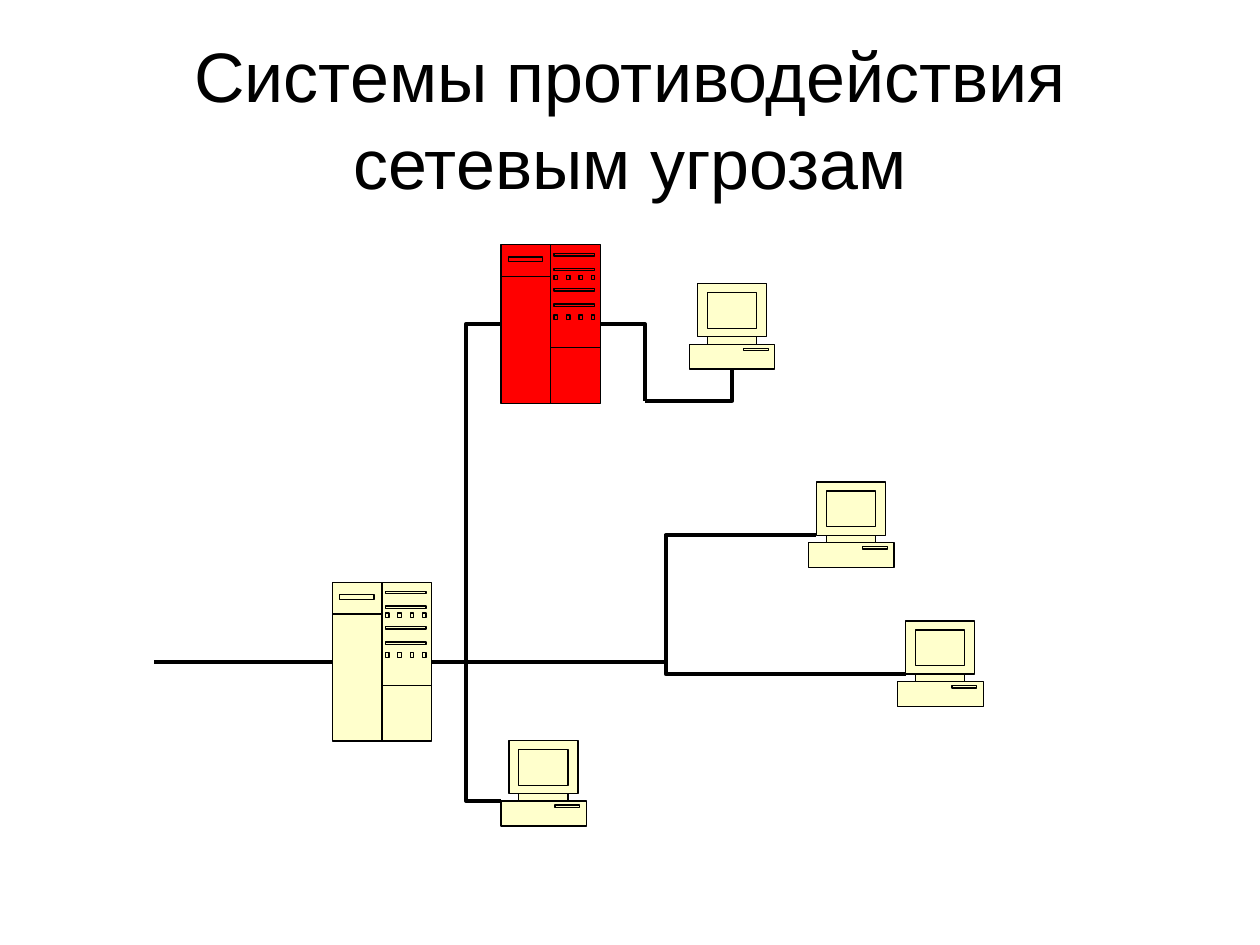
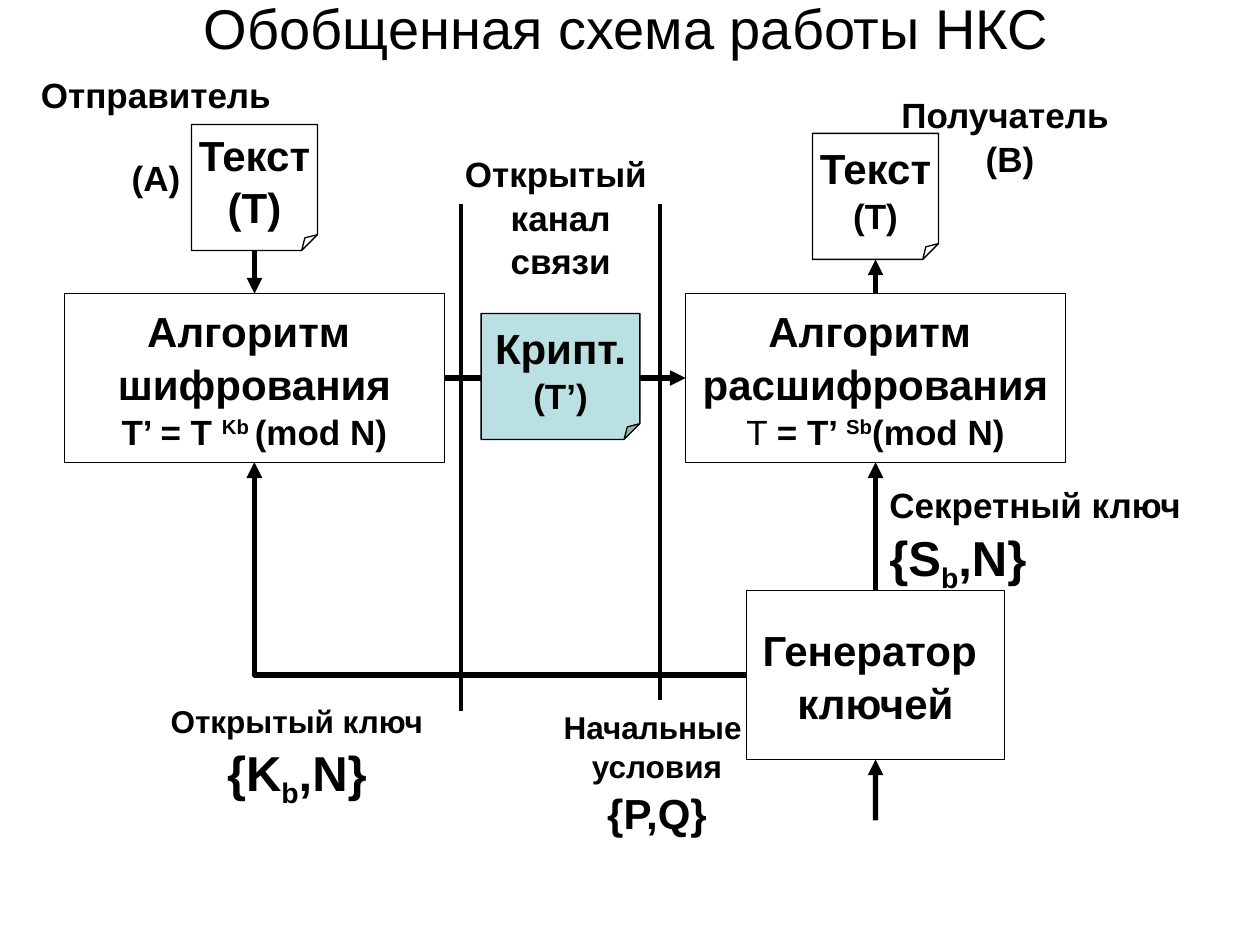
from dataclasses import dataclass

from lxml import etree
from pptx import Presentation
from pptx.dml.color import RGBColor
from pptx.enum.shapes import MSO_CONNECTOR, MSO_SHAPE
from pptx.enum.text import MSO_ANCHOR, MSO_AUTO_SIZE, PP_ALIGN
from pptx.oxml.ns import qn
from pptx.util import Cm, Pt

STRAIGHT, ELBOW = MSO_CONNECTOR.STRAIGHT, MSO_CONNECTOR.ELBOW
RECT, NOTE = MSO_SHAPE.RECTANGLE, MSO_SHAPE.FOLDED_CORNER
LEFT, CENTER = PP_ALIGN.LEFT, PP_ALIGN.CENTER
MIDDLE, TOP_ANCHOR = MSO_ANCHOR.MIDDLE, MSO_ANCHOR.TOP
NO_FIT, GROW = MSO_AUTO_SIZE.NONE, MSO_AUTO_SIZE.SHAPE_TO_FIT_TEXT
TOP_SIDE, LEFT_SIDE, BOTTOM_SIDE, RIGHT_SIDE = range(4)
TITLE_ONLY = 5
SUB, SUP = -25000, 30000


@dataclass(frozen=True)
class Theme:
    font: str = "Arial"
    ink: RGBColor = RGBColor(0, 0, 0)
    device: RGBColor = RGBColor(0xFF, 0xFF, 0xCC)
    defence: RGBColor = RGBColor(0xFF, 0, 0)
    cipher: RGBColor = RGBColor(0xBB, 0xE0, 0xE3)
    title: int = 40
    title_small: int = 32
    key: int = 28
    block: int = 24
    label: int = 20
    caption: int = 18
    outline: float = 0.75
    wire: float = 2.25
    arrow: float = 3
    spacing: float = 1.04


THEME = Theme()


def style_run(r, size, bold=True, baseline=None):
    r.font.name = THEME.font
    r.font.size = Pt(size)
    r.font.bold = bold
    r.font.color.rgb = THEME.ink
    if baseline:
        r.font._element.set("baseline", str(baseline))


def add_title_slide(prs, text, box, size):
    s = prs.slides.add_slide(prs.slide_layouts[TITLE_ONLY])
    sp = s.shapes.title
    sp.left, sp.top, sp.width, sp.height = map(Cm, box)
    tf = sp.text_frame
    tf.text = text
    tf.auto_size = NO_FIT
    tf.vertical_anchor = MIDDLE
    p = tf.paragraphs[0]
    p.alignment = CENTER
    p.line_spacing = THEME.spacing
    style_run(p.runs[0], size, bold=False)
    return s


def fill_text(tf, paragraphs, align=CENTER):
    for i, (size, *pieces) in enumerate(paragraphs):
        p = tf.add_paragraph() if i else tf.paragraphs[0]
        p.alignment = align
        p.line_spacing = THEME.spacing
        for piece in pieces:
            text, *formats = (piece,) if isinstance(piece, str) else piece
            for j, line in enumerate(text.split("\v")):
                if j:
                    p.add_line_break()
                r = p.add_run()
                r.text = line
                style_run(r, size, *formats)


def outline(sp, fill=None):
    sp.shadow.inherit = False
    sp.line.color.rgb = THEME.ink
    sp.line.width = Pt(THEME.outline)
    if fill is None:
        sp.fill.background()
    else:
        sp.fill.solid()
        sp.fill.fore_color.rgb = fill


def set_guide(sp, name, ratio):
    guides = sp._element.spPr.find(qn("a:prstGeom")).find(qn("a:avLst"))
    etree.SubElement(guides, qn("a:gd"), name=name, fmla=f"val {round(ratio * 100000)}")


def add_block(s, kind, box, paragraphs, fill=None):
    sp = s.shapes.add_shape(kind, *map(Cm, box))
    if kind == NOTE:
        set_guide(sp, "adj", 0.125)
    outline(sp, fill)
    tf = sp.text_frame
    tf.word_wrap = False
    tf.vertical_anchor = MIDDLE
    fill_text(tf, paragraphs)
    return sp


def add_label(s, box, paragraphs, align=CENTER):
    tf = s.shapes.add_textbox(*map(Cm, box)).text_frame
    tf.word_wrap = False
    tf.auto_size = GROW
    tf.vertical_anchor = TOP_ANCHOR
    fill_text(tf, paragraphs, align)


def add_line(s, kind, start, end, width, arrow=False):
    c = s.shapes.add_connector(kind, *map(Cm, (*start, *end)))
    c.line.color.rgb = THEME.ink
    c.line.width = Pt(width)
    sp_pr = c._element.spPr
    if arrow:
        etree.SubElement(sp_pr.find(qn("a:ln")), qn("a:tailEnd"), type="triangle")
    etree.SubElement(sp_pr, qn("a:effectLst"))
    return c


def add_arrow(s, begin, begin_side, end, end_side):
    c = add_line(s, STRAIGHT, (0, 0), (0, 0), THEME.arrow, arrow=True)
    c.begin_connect(begin, begin_side)
    c.end_connect(end, end_side)


def add_corner(s, start, end, width, arrow=False):
    c = add_line(s, ELBOW, start, end, width, arrow)
    c._element.spPr.find(qn("a:prstGeom")).set("prst", "bentConnector2")


def add_step(s, start, end, bend_x):
    c = add_line(s, ELBOW, start, end, THEME.wire)
    set_guide(c, "adj1", (bend_x - start[0]) / (end[0] - start[0]))


def box_path(x, y, w, h):
    return [(x, y), (x + w, y), (x + w, y + h), (x, y + h), (x, y)]


def draw_paths(shapes, origin, paths, fill=None):
    first, *rest = paths
    builder = shapes.build_freeform(*map(Cm, first[0]), scale=1.0)
    builder.add_line_segments([tuple(map(Cm, pt)) for pt in first[1:]], close=False)
    for points in rest:
        builder.move_to(*map(Cm, points[0]))
        builder.add_line_segments([tuple(map(Cm, pt)) for pt in points[1:]], close=False)
    outline(builder.convert_to_shape(*map(Cm, origin)), fill)


def add_device(s, origin, body, details, fill):
    shapes = s.shapes.add_group_shape().shapes
    draw_paths(shapes, origin, [body], fill)
    draw_paths(shapes, origin, details)


def add_computer(s, origin):
    body = [(1.35, 1.22), (1.35, 1.07), (1.55, 1.07), (1.55, 0), (0.16, 0),
            (0.16, 1.07), (0.36, 1.07), (0.36, 1.22), (0, 1.22), (0, 1.72),
            (1.72, 1.72), (1.72, 1.22), (1.35, 1.22)]
    neck = box_path(0.36, 1.07, 0.99, 0.15)
    screen = box_path(0.36, 0.18, 0.99, 0.72)
    drive = box_path(1.09, 1.3, 0.5, 0.05)
    add_device(s, origin, body, [neck, screen, drive], THEME.device)


def add_server(s, origin, fill):
    seams = [[(1, 0), (1, 3.2)], [(0, 0.64), (1, 0.64)], [(1, 2.08), (2, 2.08)]]
    drive = box_path(0.15, 0.25, 0.69, 0.09)
    slots = [box_path(1.07, y, 0.82, 0.05) for y in (0.18, 0.48, 0.89, 1.2)]
    lights = [box_path(1.07 + 0.25 * i, y, 0.07, 0.09)
              for y in (0.62, 1.42) for i in range(4)]
    add_device(s, origin, box_path(0, 0, 2, 3.2), [*seams, drive, *slots, *lights], fill)


def build_network(prs):
    s = add_title_slide(prs, "Системы противодействия сетевым угрозам",
                        (1.27, 0.76, 22.86, 3.18), THEME.title)
    gateway, trap = (6.7, 11.74), (10.1, 4.93)
    trap_pc, upper_pc, right_pc, lower_pc = computers = [
        (13.9, 5.72), (16.3, 9.72), (18.1, 12.52), (10.1, 14.93)]
    for origin in computers:
        add_computer(s, origin)
    add_server(s, gateway, THEME.device)
    add_server(s, trap, THEME.defence)

    middle = gateway[1] + 1.6
    outlet = (gateway[0] + 2, middle)
    add_line(s, STRAIGHT, (gateway[0], middle), (3.1, middle), THEME.wire)
    add_step(s, outlet, (lower_pc[0], lower_pc[1] + 1.22), 9.4)
    add_step(s, outlet, (trap[0], trap[1] + 1.6), 9.4)
    for x, y in (upper_pc, right_pc):
        add_step(s, outlet, (x + 0.16, y + 1.07), 13.42)

    bend = (13, 8.08)
    add_corner(s, (trap[0] + 2, trap[1] + 1.6), bend, THEME.wire)
    add_corner(s, bend, (trap_pc[0] + 0.86, trap_pc[1] + 1.72), THEME.wire)


def build_cryptosystem(prs):
    s = add_title_slide(prs, "Обобщенная схема работы НКС ",
                        (0.69, -1.07, 24.2, 3.18), THEME.title_small)
    block, label, caption, key = THEME.block, THEME.label, THEME.caption, THEME.key
    generator = add_block(s, RECT, (15.05, 11.91, 5.2, 3.4),
                          [(block, "Генератор \vключей")])
    plain = add_block(s, NOTE, (3.86, 2.51, 2.54, 2.54),
                      [(block, "Текст"), (block, "(T)")])
    decoder = add_block(s, RECT, (13.82, 5.92, 7.66, 3.4), [
        (block, "Алгоритм \vрасшифрования"),
        (label, ("T ", False), "= T’ ", ("Sb", True, SUP), "(mod N)")])
    encoder = add_block(s, RECT, (1.3, 5.92, 7.66, 3.4), [
        (block, "Алгоритм \vшифрования"),
        (label, "T’ = T ", ("Kb ", True, SUP), "(mod N)")])
    restored = add_block(s, NOTE, (16.38, 2.69, 2.54, 2.54),
                         [(block, "Текст"), (label, "(T)")])

    for x, bottom in ((9.3, 14.33), (13.31, 14.12)):
        add_line(s, STRAIGHT, (x, 4.11), (x, bottom), THEME.wire)
    add_corner(s, (15.05, 13.61), (5.13, 9.32), THEME.arrow, arrow=True)
    add_arrow(s, decoder, TOP_SIDE, restored, BOTTOM_SIDE)
    add_arrow(s, plain, BOTTOM_SIDE, encoder, TOP_SIDE)
    add_arrow(s, generator, TOP_SIDE, decoder, BOTTOM_SIDE)
    add_arrow(s, encoder, RIGHT_SIDE, decoder, LEFT_SIDE)
    seed = add_line(s, STRAIGHT, (17.65, 16.54), (17.65, 15.31), THEME.arrow, arrow=True)
    seed.end_connect(generator, BOTTOM_SIDE)

    add_label(s, (17.68, 9.58, 6.4, 2.46), [
        (label, "Секретный ключ"), (key, "{S", ("b", True, SUB), ",N}")], LEFT)
    add_label(s, (11.1, 14.12, 4.29, 2.79), [
        (caption, "Начальные \vусловия"), (block, "{P,Q}")])
    add_label(s, (9.12, 2.92, 4.37, 2.79), [
        (label, "Открытый "), (label, "канал"), (label, "связи")])
    add_label(s, (3.18, 14, 5.61, 2.36), [
        (caption, "Открытый ключ"), (key, "{K", ("b", True, SUB), ",N}")])
    add_label(s, (17.91, 1.73, 4.9, 1.96), [(label, "Получатель \v(В)")])
    add_label(s, (0.48, 1.32, 5.33, 1.96), [(label, "Отправитель \v(A)")])
    add_block(s, NOTE, (9.7, 6.32, 3.2, 2.54),
              [(block, "Крипт."), (label, "(T’)")], THEME.cipher)


def main():
    prs = Presentation()
    prs.slide_width, prs.slide_height = Cm(25.4), Cm(19.05)
    build_network(prs)
    build_cryptosystem(prs)
    prs.save("out.pptx")


if __name__ == "__main__":
    main()
